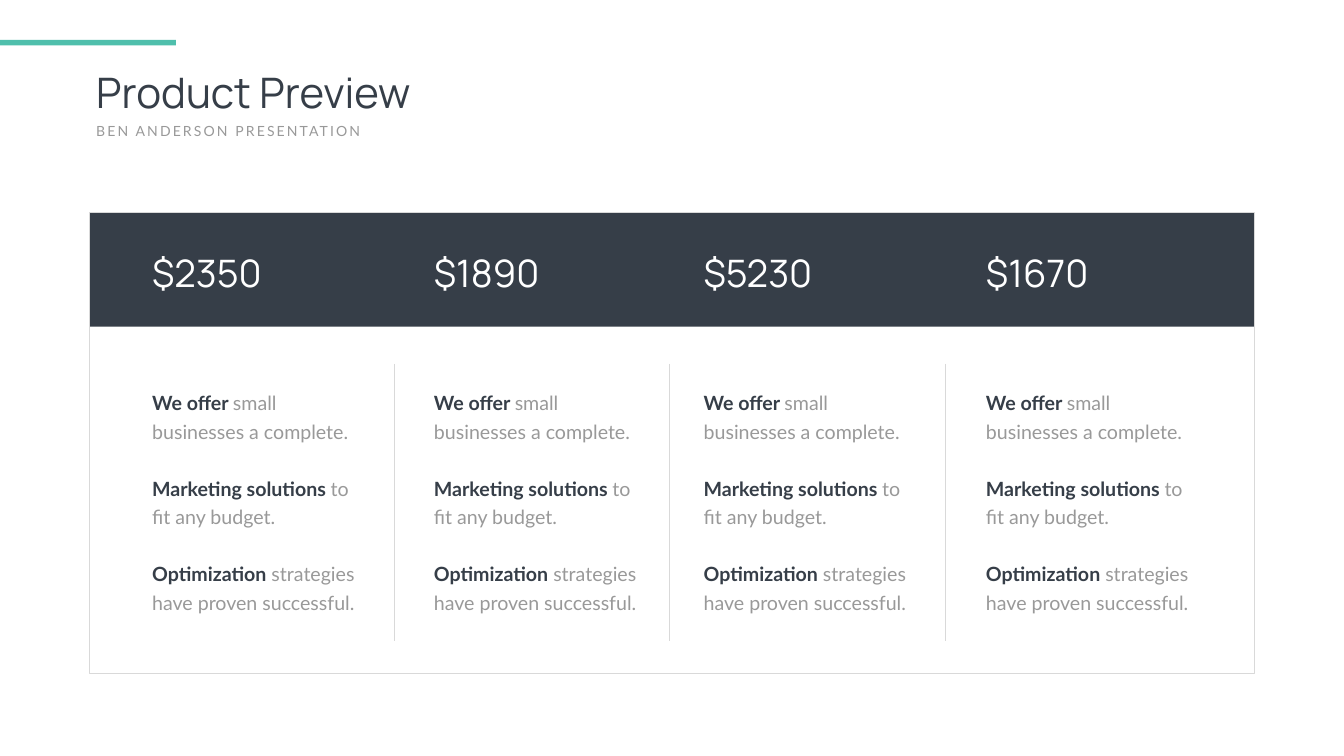
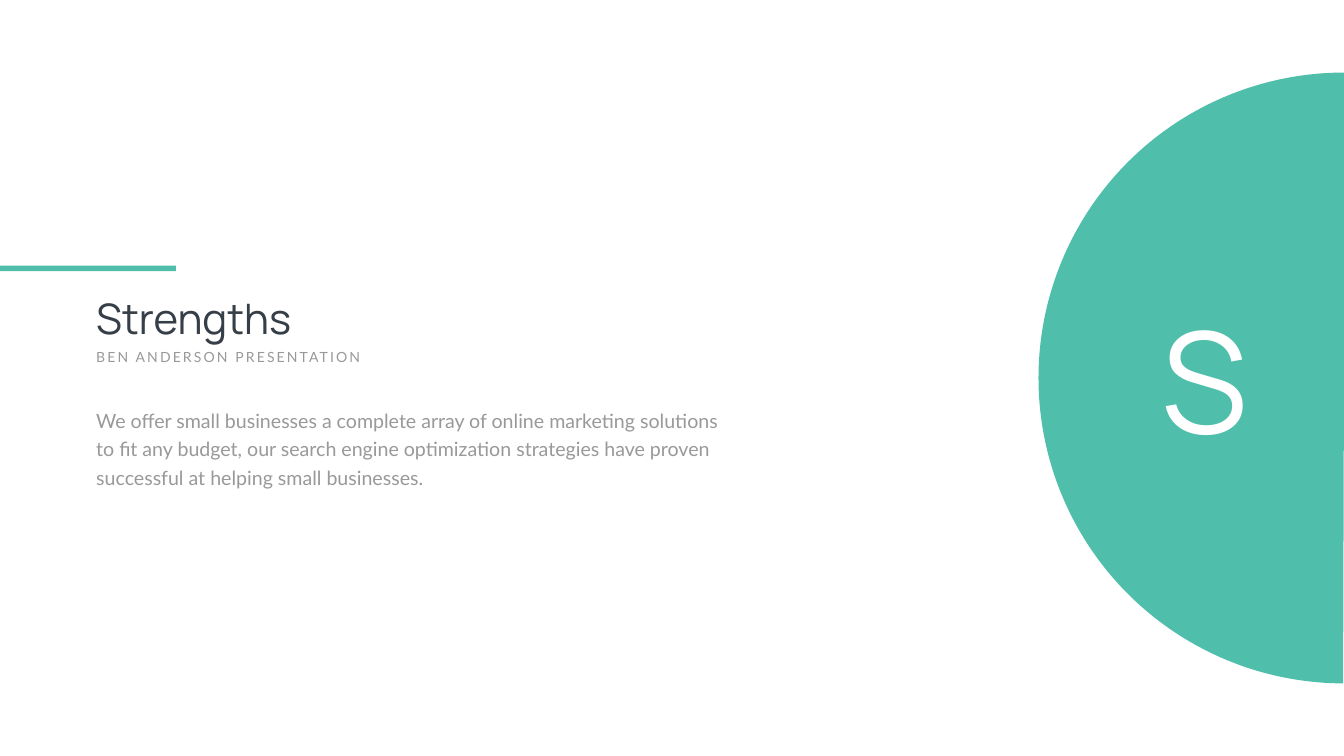
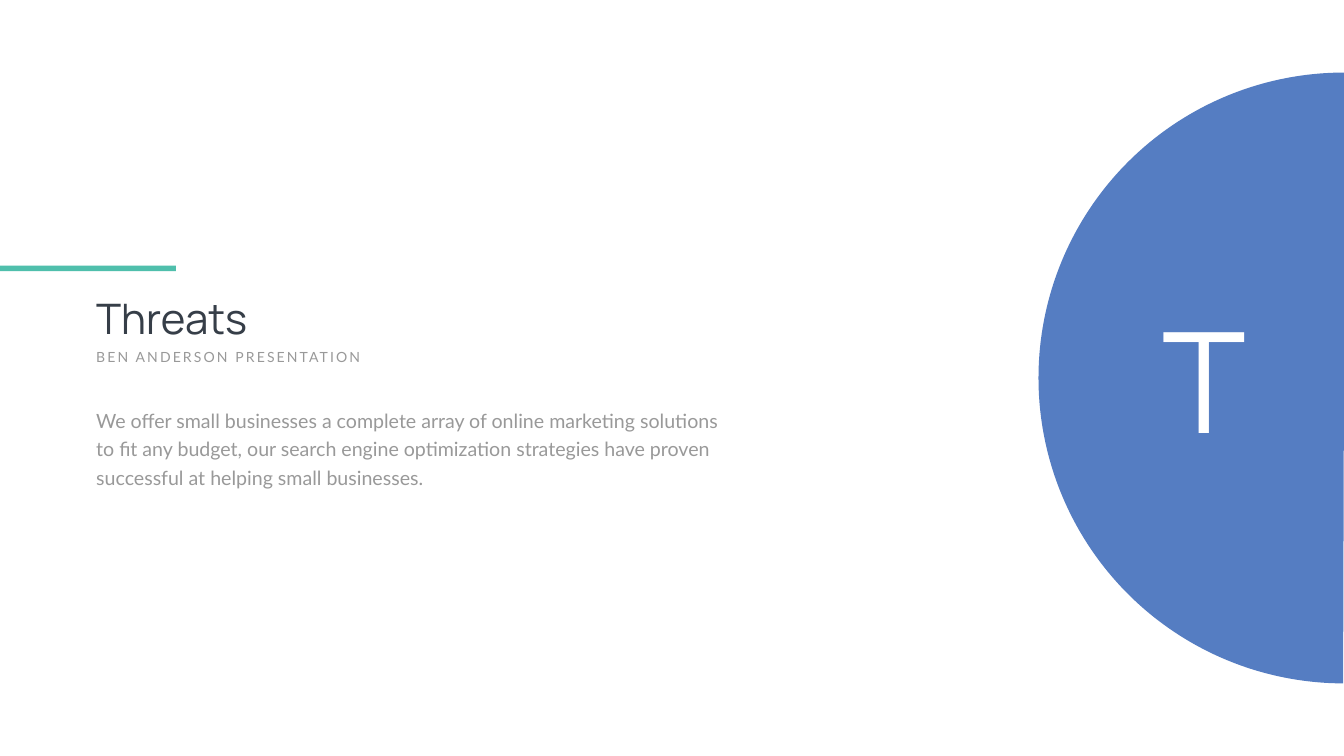
"""Build a price overview slide and two lettered SWOT slides."""
from lxml import etree
from pptx import Presentation
from pptx.dml.color import RGBColor
from pptx.enum.shapes import MSO_CONNECTOR, MSO_SHAPE
from pptx.enum.text import MSO_AUTO_SIZE, PP_ALIGN
from pptx.oxml.ns import qn
from pptx.util import Pt

RECTANGLE, CHORD = MSO_SHAPE.RECTANGLE, MSO_SHAPE.CHORD
STRAIGHT = MSO_CONNECTOR.STRAIGHT
GROW = MSO_AUTO_SIZE.SHAPE_TO_FIT_TEXT
LEFT, CENTER = PP_ALIGN.LEFT, PP_ALIGN.CENTER

TEAL = RGBColor(0x4F, 0xBF, 0xAC)
BLUE = RGBColor(0x55, 0x7D, 0xC2)
DARK = RGBColor(0x36, 0x3E, 0x48)
GRAY = RGBColor(0x99, 0x99, 0x99)
PALE = RGBColor(0xD9, 0xD9, 0xD9)
WHITE = RGBColor(0xFF, 0xFF, 0xFF)

HEADING_FONT, BODY_FONT = "Manrope", "Lato"
MARGIN = 130.32
LINE_HEIGHT = 40.8


def add_text(page, frame, paragraphs, font, size, align=LEFT, line_height=None, tracking=0):
    box = page.shapes.add_textbox(*map(Pt, frame))
    text_frame = box.text_frame
    text_frame.word_wrap = True
    text_frame.auto_size = GROW
    for index, spans in enumerate(paragraphs):
        para = text_frame.add_paragraph() if index else text_frame.paragraphs[0]
        para.alignment = align
        if line_height:
            para.line_spacing = Pt(line_height)
            if index:
                para.space_before = Pt(line_height)
        for text, color, bold in spans:
            span = para.add_run()
            span.text = text
            span.font.name = font
            span.font.size = Pt(size)
            span.font.bold = bold
            span.font.color.rgb = color
            if tracking:
                span.font._element.set("spc", str(tracking * 100))


def add_block(page, kind, frame, fill=None, outline=None):
    block = page.shapes.add_shape(kind, *map(Pt, frame))
    block.shadow.inherit = False
    if fill is None:
        block.fill.background()
    else:
        block.fill.solid()
        block.fill.fore_color.rgb = fill
    if outline is None:
        block.line.fill.background()
    else:
        block.line.color.rgb = outline
        block.line.width = Pt(1)
    return block


deck = Presentation()
deck.slide_width, deck.slide_height = Pt(1919.52), Pt(1080)

pages = []
for title, bar_top in (("Product Preview", 56.88), ("Strengths", 379.44), ("Threats", 379.44)):
    page = deck.slides.add_slide(deck.slide_layouts[6])
    page.background.fill.solid()
    page.background.fill.fore_color.rgb = WHITE
    add_text(page, (MARGIN, bar_top + 35.28, 702.72, 79.92),
             [[(title, DARK, False)]], HEADING_FONT, 60)
    add_block(page, RECTANGLE, (0, bar_top, 251.28, 7.92), TEAL)
    add_text(page, (MARGIN, bar_top + 115.2, 421.2, 31.68),
             [[("BEN ANDERSON PRESENTATION", GRAY, False)]], BODY_FONT, 20, tracking=3)
    pages.append(page)

price_page, *letter_pages = pages

add_block(price_page, RECTANGLE, (128.16, 303.84, 1663.2, 162.72), DARK)
add_block(price_page, RECTANGLE, (128.16, 303.84, 1663.2, 658.8), outline=PALE)

offer = [
    [("We offer ", DARK, True), ("small businesses a complete.", GRAY, False)],
    [("Marketing solutions ", DARK, True), ("to fit any budget.", GRAY, False)],
    [("Optimization", DARK, True), (" strategies have proven successful.", GRAY, False)],
]
price_columns = (("$2350", 210.24), ("$1890", 612.72), ("$5230", 997.92), ("$1670", 1401.12))
for price, left in price_columns:
    add_text(price_page, (left, 352.8, 239.04, 72.72),
             [[(price, WHITE, False)]], HEADING_FONT, 54)
    add_text(price_page, (left, 547.92, 303.84, 334.08),
             offer, BODY_FONT, 28, line_height=LINE_HEIGHT)

for index in range(3):
    x = Pt(562.4 + 393.5 * index)
    divider = price_page.shapes.add_connector(STRAIGHT, x, Pt(519.84), x, Pt(915.12))
    divider.line.color.rgb = PALE
    divider.line.width = Pt(0.5)
    etree.SubElement(divider._element.spPr, qn("a:effectLst"))

summary = ("We offer small businesses a complete array of online marketing solutions "
           "to fit any budget, our search engine optimization strategies have proven "
           "successful at helping small businesses.")
letters = (("S", TEAL, 1632.24, 177.12), ("T", BLUE, 1589.76, 261.36))
for page, (letter, color, left, width) in zip(letter_pages, letters):
    half_circle = add_block(page, CHORD, (1483.2, 103.68, 872.64, 872.64), color)
    half_circle.rotation = 45
    half_circle.adjustments[0] = 27.1
    half_circle.adjustments[1] = 135.09
    add_text(page, (left, 415.44, width, 249.84),
             [[(letter, WHITE, False)]], HEADING_FONT, 200, align=CENTER)
    add_text(page, (MARGIN, 573.12, 915.12, 127.44),
             [[(summary, GRAY, False)]], BODY_FONT, 28, line_height=LINE_HEIGHT)

deck.save("out.pptx")
